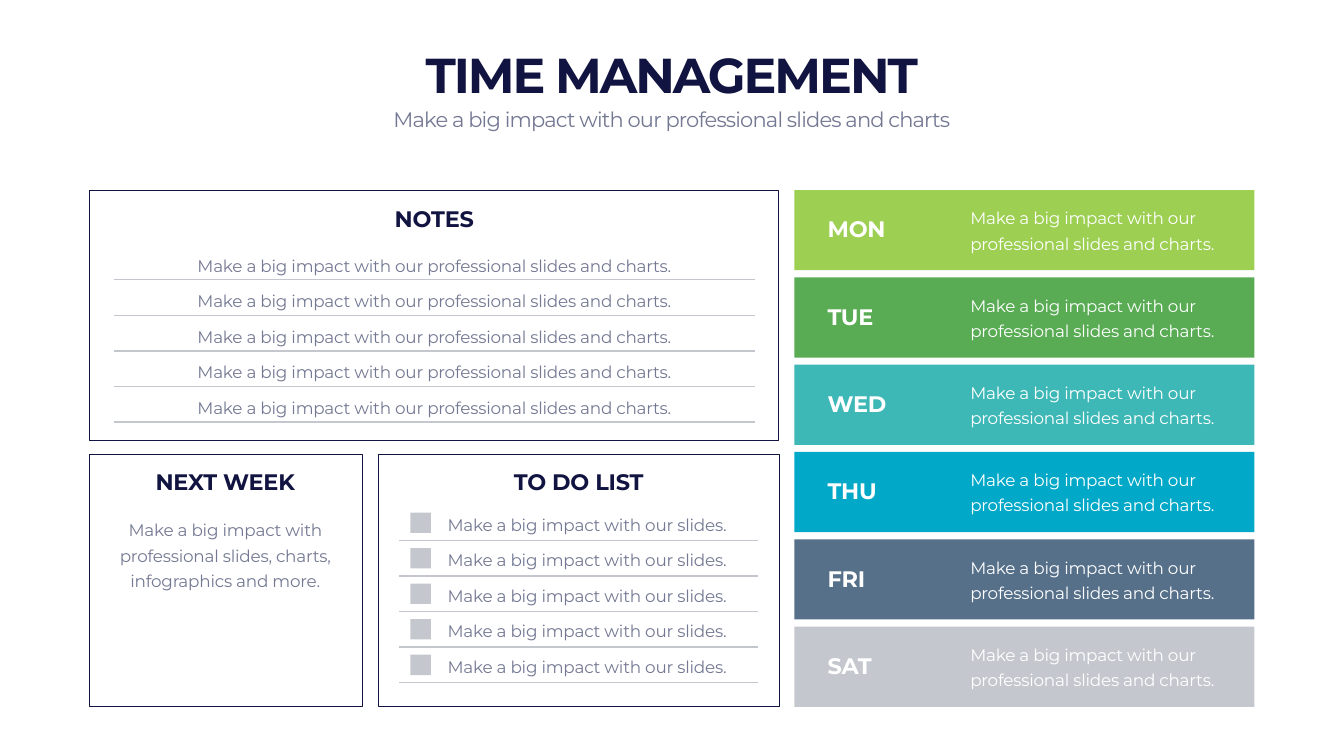
from pptx import Presentation
from pptx.dml.color import RGBColor
from pptx.enum.shapes import MSO_CONNECTOR, MSO_SHAPE
from pptx.enum.text import MSO_ANCHOR, PP_ALIGN
from pptx.oxml.ns import qn
from pptx.util import Cm, Pt
from lxml.etree import SubElement

NAVY = RGBColor(0x11, 0x13, 0x40)
SLATE = RGBColor(0x74, 0x79, 0x93)
SILVER = RGBColor(0xC4, 0xC8, 0xCE)
WHITE = RGBColor(0xFF, 0xFF, 0xFF)
LIME = RGBColor(0x9D, 0xCF, 0x53)
GREEN = RGBColor(0x59, 0xAC, 0x54)
TEAL = RGBColor(0x3D, 0xB8, 0xB6)
CYAN = RGBColor(0x01, 0xA8, 0xC7)
STEEL = RGBColor(0x56, 0x70, 0x8A)
FONT = "Montserrat"

# Content
TITLE = "TIME MANAGEMENT"
SUBTITLE = "Make a big impact with our professional slides and charts"
NOTES = ["Make a big impact with our professional slides and charts."] * 5
NEXT_WEEK = "Make a big impact with professional slides, charts, infographics and more."
TO_DO = ["Make a big impact with our slides."] * 5
DAY_NOTE = "Make a big impact with our professional slides and charts."
DAYS = [("MON", LIME), ("TUE", GREEN), ("WED", TEAL),
        ("THU", CYAN), ("FRI", STEEL), ("SAT", SILVER)]

# Layout in centimetres: left, top, width, height
PANELS = [(4.52, 9.58, 34.72, 12.62), (4.52, 22.89, 13.72, 12.73),
          (19.08, 22.89, 20.19, 12.73)]
HEADINGS = [("NOTES", (7.75, 10.21, 28.27, 1.63)),
            ("NEXT WEEK", (5.33, 23.44, 12.04, 1.63)),
            ("TO DO LIST", (20.45, 23.42, 17.42, 1.63))]
ROW_PITCH = 1.79
NOTES_RULE_TOP, TO_DO_RULE_TOP = 14.1, 27.23
DAY_TOP, DAY_PITCH = 9.58, 4.4

presentation = Presentation()
presentation.slide_width, presentation.slide_height = Cm(67.72), Cm(38.1)
slide = presentation.slides.add_slide(presentation.slide_layouts[6])


def add_box(place, fill=None, outline=None):
    """Draw a rectangle that is filled, outlined, or both."""
    box = slide.shapes.add_shape(MSO_SHAPE.RECTANGLE, *map(Cm, place))
    box.shadow.inherit = False
    if fill is None:
        box.fill.background()
    else:
        box.fill.solid()
        box.fill.fore_color.rgb = fill
    if outline is None:
        box.line.fill.background()
    else:
        box.line.color.rgb = outline
        box.line.width = Pt(1)


def add_rule(left, right, y):
    """Draw a horizontal writing line."""
    rule = slide.shapes.add_connector(
        MSO_CONNECTOR.STRAIGHT, Cm(left), Cm(y), Cm(right), Cm(y))
    rule.line.color.rgb = SILVER
    rule.line.width = Pt(2)
    SubElement(rule.element.spPr, qn("a:effectLst"))


def add_text(text, place, size, color, bold=False, align=PP_ALIGN.LEFT,
             anchor=MSO_ANCHOR.MIDDLE, leading=None, tracking=-0.3):
    """Place one paragraph; leading and tracking are in points."""
    label = slide.shapes.add_textbox(*map(Cm, place))
    frame = label.text_frame
    frame.word_wrap = True
    frame.vertical_anchor = anchor
    paragraph = frame.paragraphs[0]
    paragraph.alignment = align
    if leading:
        paragraph.line_spacing = Pt(leading)
        frame.margin_top = frame.margin_bottom = Cm(0.08)
    run = paragraph.add_run()
    run.text = text
    run.font.name = FONT
    run.font.size = Pt(size)
    run.font.bold = bold
    run.font.color.rgb = color
    run.font._element.set("spc", str(round(tracking * 100)))


def add_body(text, place, color=SLATE, **options):
    """Place running text in the body style."""
    add_text(text, place, 24, color, leading=36, **options)


add_text(TITLE, (4.22, 2.08, 59.26, 3.25), 70, NAVY, bold=True,
         align=PP_ALIGN.CENTER, anchor=MSO_ANCHOR.BOTTOM, tracking=-2.9)
add_text(SUBTITLE, (4.22, 5.23, 59.26, 1.55), 30, SLATE,
         align=PP_ALIGN.CENTER, anchor=MSO_ANCHOR.TOP, tracking=-1.2)

for panel in PANELS:
    add_box(panel, outline=NAVY)
for heading, place in HEADINGS:
    add_text(heading, place, 32, NAVY, bold=True,
             align=PP_ALIGN.CENTER, anchor=MSO_ANCHOR.BOTTOM)

for row, note in enumerate(NOTES):
    y = NOTES_RULE_TOP + row * ROW_PITCH
    add_rule(5.72, 38.02, y)
    add_body(note, (7.75, y - 1.55, 28.27, 1.42), align=PP_ALIGN.CENTER)

add_body(NEXT_WEEK, (5.33, 25.88, 12.04, 3.99),
         align=PP_ALIGN.CENTER, anchor=MSO_ANCHOR.TOP)

for row, task in enumerate(TO_DO):
    y = TO_DO_RULE_TOP + row * ROW_PITCH
    add_rule(20.12, 38.2, y)
    add_box((20.68, y - 1.4, 1.03, 1.03), fill=SILVER)
    add_body(task, (22.3, y - 1.63, 15.57, 1.42))

for index, (day, color) in enumerate(DAYS):
    top = DAY_TOP + index * DAY_PITCH
    add_box((40.03, top, 23.18, 4.04), fill=color)
    add_text(day, (41.45, top + 1.14, 4.93, 1.63), 32, WHITE, bold=True)
    add_body(DAY_NOTE, (48.64, top + 0.56, 13.82, 2.72), WHITE)

presentation.save("out.pptx")
